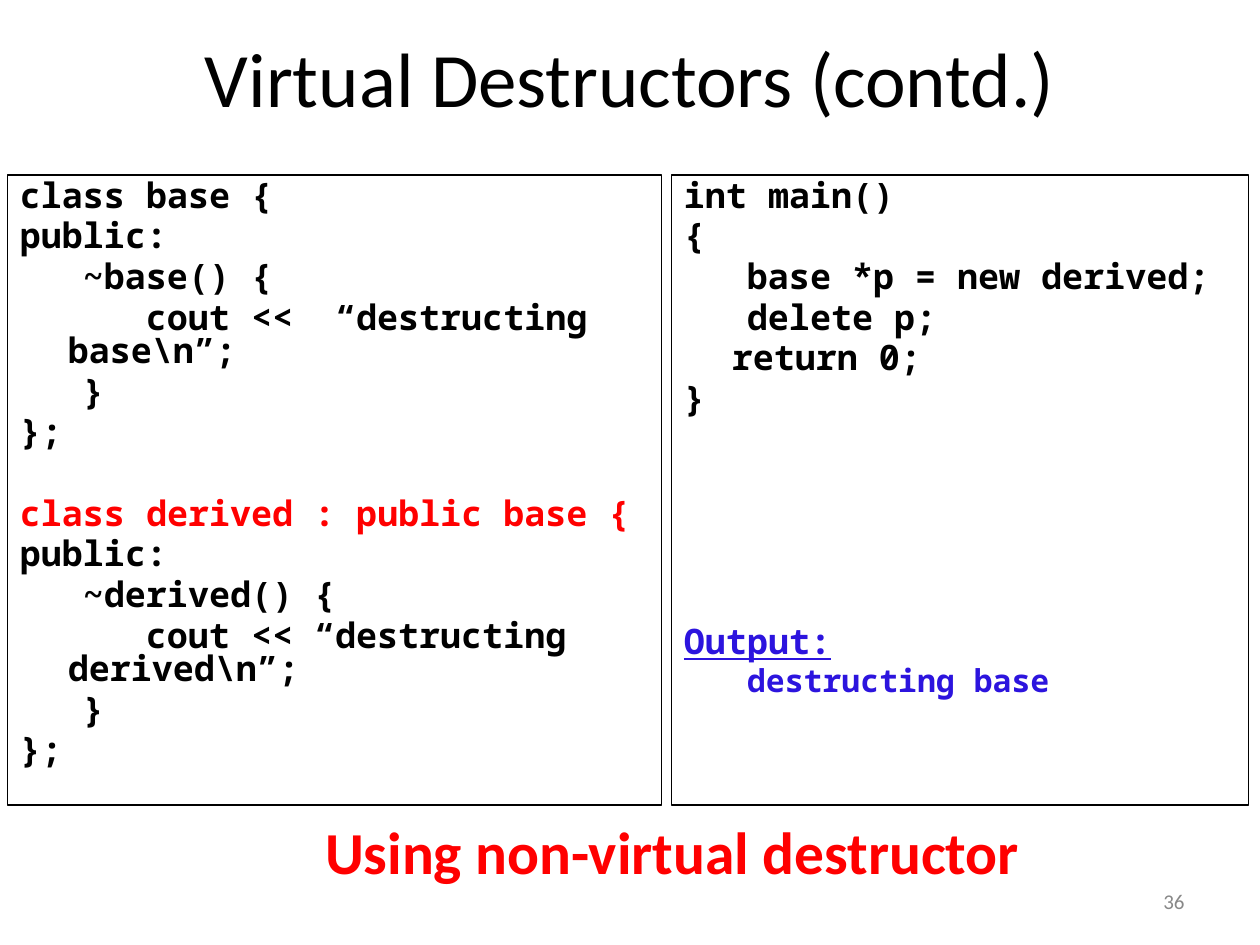
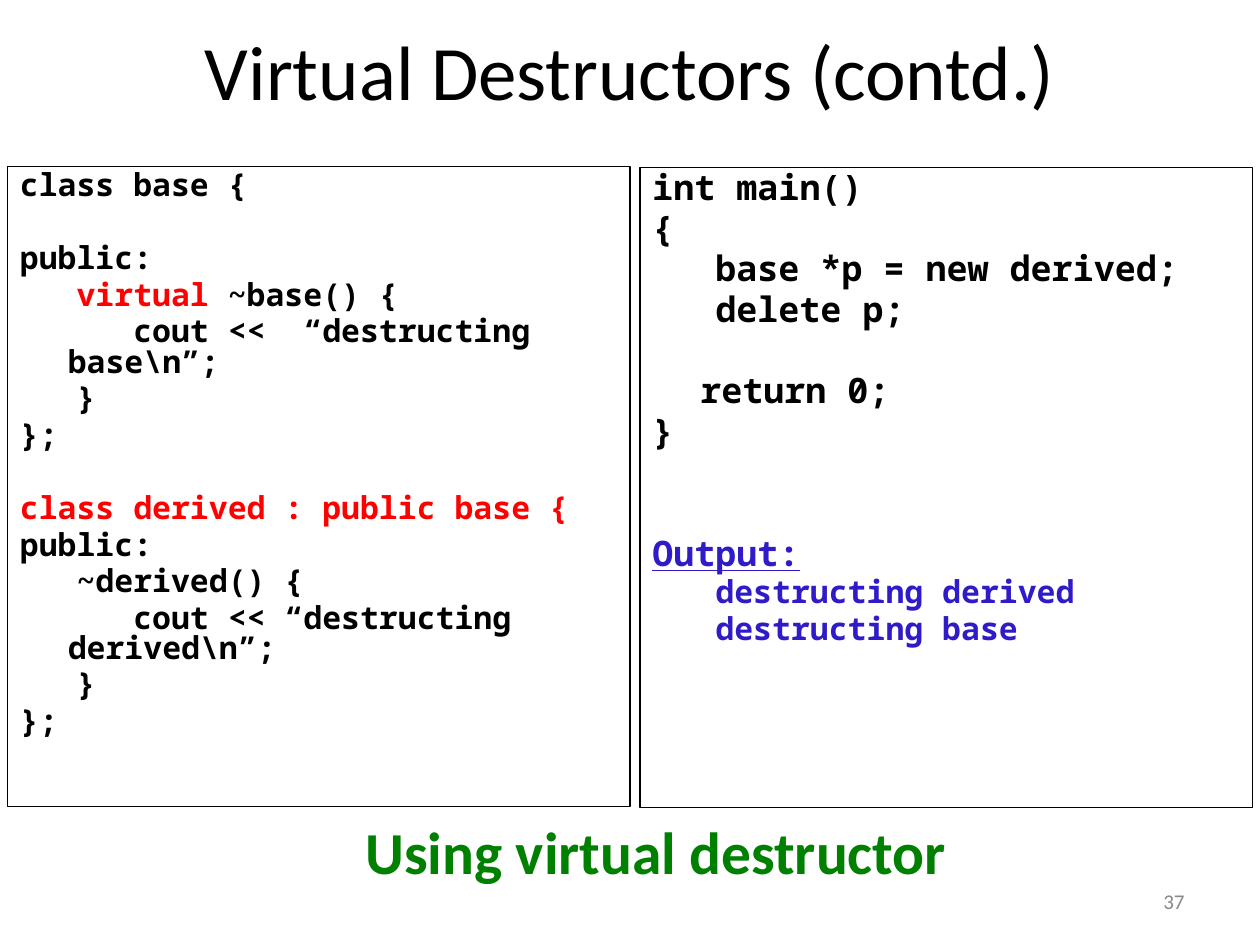
from pptx import Presentation
from pptx.dml.color import RGBColor
from pptx.enum.shapes import MSO_SHAPE as Shape
from pptx.enum.text import MSO_ANCHOR as Anchor, PP_ALIGN as Align
from pptx.util import Inches, Pt

BLACK, RED, GREEN, GREY = "000000", "FF0000", "008000", "888888"
CODE_FONT, TEXT_FONT = "Noto Sans Mono", "Calibri"
HANG = 0.38
OUTPUT_INDENT = 0.5
TAB_STOP = "tab"
TITLE = "Virtual Destructors (contd.)"


def colour(value):
    return RGBColor.from_string(value)


def write(frame, spans, size=20, font=TEXT_FONT, ink=BLACK, bold=False,
          underline=False, align=Align.LEFT, before=0, spacing=None, first=None):
    para = frame.add_paragraph() if frame.text else frame.paragraphs[0]
    para.alignment = align
    para.space_before = Pt(before)
    if spacing:
        para.line_spacing = spacing
    if first is not None:
        properties = para._p.get_or_add_pPr()
        properties.set("marL", str(Inches(HANG)))
        properties.set("indent", str(Inches(first - HANG)))
    for words, span_ink in [(spans, ink)] if isinstance(spans, str) else spans:
        span = para.add_run()
        span.text = words
        span.font.size = Pt(size)
        span.font.name = font
        span.font.bold = bold
        span.font.underline = underline
        span.font.color.rgb = colour(span_ink)


derived_class = [
    (0, 1, "class derived : public base {", RED),
    (0, 0, "public:", BLACK),
    (1, 0, "~derived() {", BLACK),
    (2, 0, "cout << “destructing derived\\n”;", BLACK),
    (1, 0, "}", BLACK),
    (0, 0, "};", BLACK),
]


def class_code(blank_before_public, destructor):
    return [
        (0, 0, "class base {", BLACK),
        (0, blank_before_public, "public:", BLACK),
        (1, 0, destructor, BLACK),
        (2, 0, "cout <<  “destructing base\\n”;", BLACK),
        (1, 0, "}", BLACK),
        (0, 0, "};", BLACK),
    ] + derived_class


main_start = [
    (0, 0, "int main()", BLACK),
    (0, 0, "{", BLACK),
    (1, 0, "base *p = new derived;", BLACK),
    (1, 0, "delete p;", BLACK),
]

slides = [
    {
        "number": "36", "title_top": 0.11, "output_ink": "2C14DE",
        "panels": [
            ((0.06, 1.39, 5.19, 5), 20, class_code(0, "~base() {")),
            ((5.33, 1.39, 4.58, 5), 20, main_start + [
                (TAB_STOP, 0, "return 0;", BLACK), (0, 0, "}", BLACK)]),
        ],
        "output_gap": 5, "output": ["destructing base"],
        "caption": ("Using non-virtual destructor", RED, 2.41, 5.85),
    },
    {
        "number": "37", "title_top": 0.05, "output_ink": "2F1BC7",
        "panels": [
            ((0.06, 1.32, 4.94, 5.08), 18,
             class_code(1, [("virtual ", RED), ("~base() {", BLACK)])),
            ((5.08, 1.33, 4.86, 5.08), 20, main_start + [
                (TAB_STOP, 1, "return 0;", BLACK), (0, 0, "}", BLACK)]),
        ],
        "output_gap": 2, "output": ["destructing derived", "destructing base"],
        "caption": ("Using virtual destructor", GREEN, 2.33, 5.75),
    },
]

deck = Presentation()
deck.slide_width, deck.slide_height = Inches(10), Inches(7.5)

for content in slides:
    page = deck.slides.add_slide(deck.slide_layouts[5])

    title = page.shapes.title
    title.left, title.top = Inches(0.5), Inches(content["title_top"])
    title.width, title.height = Inches(9), Inches(1)
    title.text_frame.vertical_anchor = Anchor.MIDDLE
    write(title.text_frame, TITLE, size=44, align=Align.CENTER)

    for place, size, lines in content["panels"]:
        panel = page.shapes.add_shape(Shape.RECTANGLE, *map(Inches, place))
        panel.shadow.inherit = False
        panel.fill.background()
        panel.line.color.rgb = colour(BLACK)
        panel.line.width = Pt(0.75)
        frame = panel.text_frame
        frame.word_wrap = True
        frame.vertical_anchor = Anchor.TOP
        for level, blanks, words, ink in lines:
            first = HANG if level == TAB_STOP else level * size * 0.025
            write(frame, words, size=size, font=CODE_FONT, ink=ink, bold=True,
                  spacing=0.8, first=first,
                  before=0.2 * size + 1.16 * size * blanks)

    output_style = {"font": CODE_FONT, "ink": content["output_ink"],
                    "bold": True, "spacing": 0.8}
    write(frame, "Output:", underline=True, first=0,
          before=4 + 23.2 * content["output_gap"], **output_style)
    for line in content["output"]:
        write(frame, line, size=18, first=OUTPUT_INDENT, before=3.6, **output_style)

    words, ink, left, width = content["caption"]
    caption = page.shapes.add_textbox(
        Inches(left), Inches(6.42), Inches(width), Inches(0.67))
    caption.text_frame.word_wrap = True
    write(caption.text_frame, words, size=34, ink=ink, bold=True, align=Align.CENTER)

    number = page.shapes.add_textbox(
        Inches(7.17), Inches(6.95), Inches(2.33), Inches(0.4))
    number.text_frame.word_wrap = True
    number.text_frame.vertical_anchor = Anchor.MIDDLE
    write(number.text_frame, content["number"], size=12, ink=GREY, align=Align.RIGHT)

deck.save("out.pptx")
